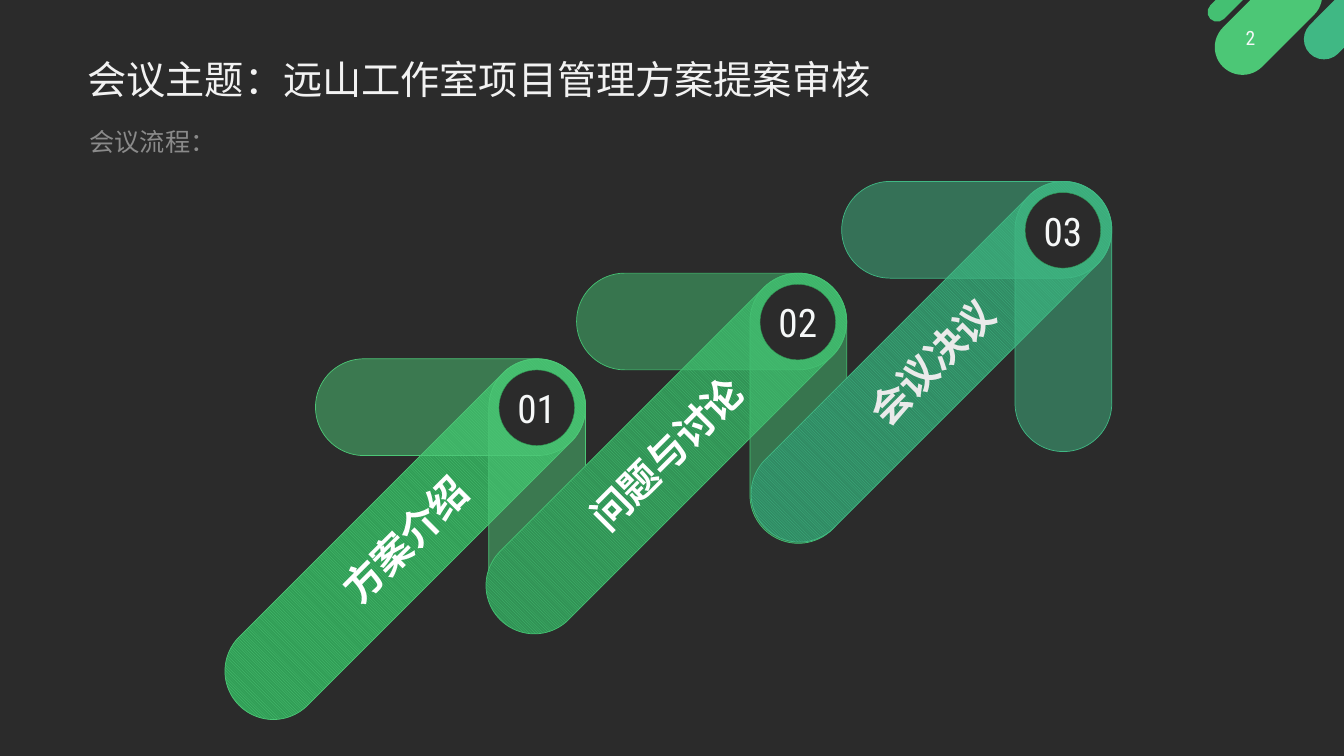
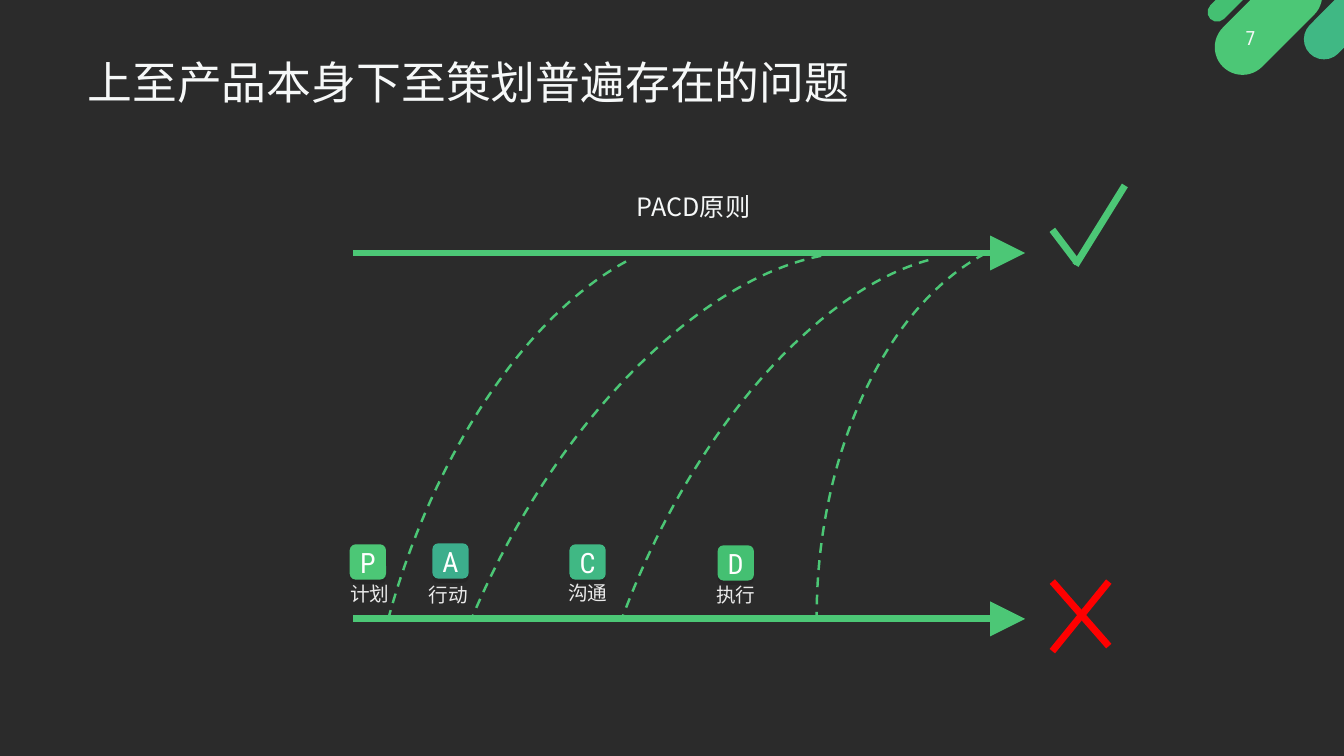
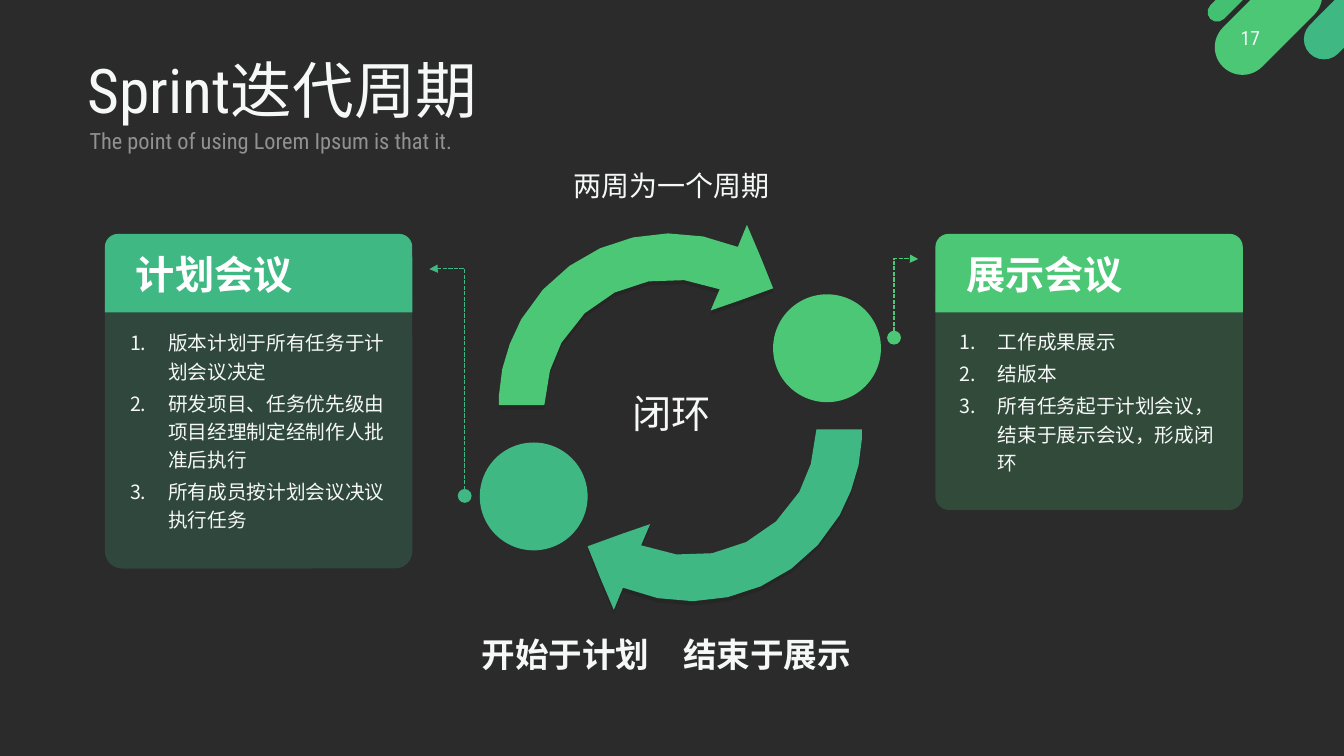
from math import dist

from lxml import etree
from pptx import Presentation
from pptx.dml.color import RGBColor
from pptx.enum.dml import MSO_LINE, MSO_PATTERN
from pptx.enum.shapes import MSO_CONNECTOR, MSO_SHAPE
from pptx.enum.text import MSO_ANCHOR, PP_ALIGN
from pptx.oxml.ns import qn
from pptx.util import Pt

PX = 9144
FACE = "Roboto Condensed"
HAN = "Noto Sans CJK SC"
PLAIN = "Calibri"

DARK = RGBColor(0x2B, 0x2B, 0x2B)
LIME = RGBColor(0x4C, 0xC7, 0x76)
LEAF = RGBColor(0x44, 0xC0, 0x72)
JADE = RGBColor(0x40, 0xB8, 0x84)
TEAL = RGBColor(0x3C, 0xAE, 0x8C)
MOSS = RGBColor(0x31, 0x9D, 0x56)
FERN = RGBColor(0x31, 0x92, 0x55)
PINE = RGBColor(0x30, 0x8A, 0x63)
RED = RGBColor(0xFF, 0x00, 0x00)
WHITE = RGBColor(0xFF, 0xFF, 0xFF)
SNOW = RGBColor(0xF6, 0xF8, 0xF8)
PALE = RGBColor(0xF2, 0xF2, 0xF2)
MIST = RGBColor(0xEA, 0xEA, 0xEA)

ROUND = MSO_SHAPE.ROUNDED_RECTANGLE
CAP = MSO_SHAPE.ROUND_2_SAME_RECTANGLE
OVAL = MSO_SHAPE.OVAL
ARC = MSO_SHAPE.ARC
LINE = MSO_CONNECTOR.STRAIGHT
ELBOW = MSO_CONNECTOR.ELBOW
DASH = MSO_LINE.DASH
DOTS = MSO_LINE.SQUARE_DOT
WEAVE = MSO_PATTERN.DARK_DOWNWARD_DIAGONAL
LEFT = PP_ALIGN.LEFT
MID = PP_ALIGN.CENTER
TOP = MSO_ANCHOR.TOP
CORE = MSO_ANCHOR.MIDDLE

HEAD = {"line_spacing": 0.9}
SUB = {"line_spacing": 0.9, "space_before": Pt(10)}
ITEM = {"line_spacing": 1.2, "space_after": Pt(2.7)}
BALL = {"type": "oval", "w": "lg", "len": "lg"}
TIP = {"type": "triangle"}
BARB = {"type": "triangle", "w": "lg", "len": "lg"}

OUTLINE = [
    (755, 256), (741, 223), (738, 230, 735, 237, 732, 245),
    (653, 212, 561, 241, 517, 317), (504, 341, 496, 366, 495, 392),
    (495, 402), (540, 402), (541, 400, 541, 398, 541, 396),
    (542, 377, 547, 358, 557, 340), (589, 284, 657, 263, 714, 287),
    (705, 308), (734, 298), (767, 286),
]


def put(thing, values):
    for name, value in values.items():
        setattr(thing, name, value)


def add(node, tag, **attrs):
    return etree.SubElement(node, qn(tag), attrs)


def fade(shape, alpha):
    color = next(shape.element.iter(qn("a:srgbClr")))
    add(color, "a:alpha", val=str(alpha * 1000))


def shade(shape):
    glow = shape.element.spPr.find(qn("a:effectLst"))
    drop = add(glow, "a:outerShdw", blurRad="0", dist="38100",
               dir="5400000", algn="t", rotWithShape="0")
    add(add(drop, "a:srgbClr", val="000000"), "a:alpha", val="10000")


def paint(shape, fill=None, edge=None, width=1, alpha=None):
    shape.shadow.inherit = False
    if fill is None:
        shape.fill.background()
    else:
        shape.fill.solid()
        shape.fill.fore_color.rgb = fill
    if edge is None:
        shape.line.fill.background()
    else:
        shape.line.color.rgb = edge
        shape.line.width = Pt(width)
    if alpha:
        fade(shape, alpha)


def draw(slide, kind, box, fill=None, turn=0, adj=(), **style):
    shape = slide.shapes.add_shape(kind, *(n * PX for n in box))
    shape.rotation = turn
    for i, value in enumerate(adj):
        shape.adjustments[i] = value
    paint(shape, fill, **style)
    return shape


def write(shape, rows, size, color=SNOW, face=FACE, bold=False, align=LEFT,
          anchor=TOP, pad=(10, 5, 10, 5), wrap=True, para=None, count=False):
    frame = shape.text_frame
    sides = ("margin_left", "margin_top", "margin_right", "margin_bottom")
    put(frame, {"word_wrap": wrap, "vertical_anchor": anchor,
                **{side: n * PX for side, n in zip(sides, pad)}})
    for i, row in enumerate(rows):
        line = frame.paragraphs[0] if i == 0 else frame.add_paragraph()
        put(line, {"alignment": align, **(para or {})})
        run = line.add_run()
        run.text = row
        put(run.font, {"size": Pt(size), "bold": bold, "name": face})
        run.font.color.rgb = color
        add(run.font._element, "a:ea", typeface=HAN)
        if count:
            props = line._p.get_or_add_pPr()
            props.set("marL", str(38 * PX))
            props.set("indent", str(-38 * PX))
            add(props, "a:buFont", typeface="+mj-lt")
            add(props, "a:buAutoNum", type="arabicPeriod")


def note(slide, box, text, size, **style):
    shape = slide.shapes.add_textbox(*(n * PX for n in box))
    write(shape, [text], size, **style)
    return shape


def link(slide, kind, ends, color, width, dash=None, head=None, tail=None):
    wire = slide.shapes.add_connector(kind, *(round(n * PX) for n in ends))
    wire.line.color.rgb = color
    wire.line.width = Pt(width)
    if dash:
        wire.line.dash_style = dash
    props = wire.element.spPr
    for tag, mark in (("a:headEnd", head), ("a:tailEnd", tail)):
        if mark:
            add(props.find(qn("a:ln")), tag, **mark)
    add(props, "a:effectLst")
    return wire


def bend(slide, ends, color, turn, adj):
    x, y, to_x, to_y = ends
    mid_x, mid_y = (x + to_x) / 2, (y + to_y) / 2
    half_w, half_h = abs(to_y - y) / 2, abs(to_x - x) / 2
    if turn == 270:
        half_w = -half_w
    frame = (mid_x + half_w, mid_y + half_h, mid_x - half_w, mid_y - half_h)
    wire = link(slide, ELBOW, frame, color, 1, DOTS, BALL, TIP)
    props = wire.element.spPr
    props.find(qn("a:xfrm")).set("rot", str(turn * 60000))
    guides = props.find(qn("a:prstGeom")).find(qn("a:avLst"))
    add(guides, "a:gd", name="adj1", fmla=f"val {adj}")


def trace(steps):
    dots = [steps[0]]
    for step in steps[1:]:
        if len(step) == 2:
            dots.append(step)
            continue
        knots = [dots[-1], step[:2], step[2:4], step[4:]]
        count = 1 + int(dist(knots[0], knots[3]) // 35)
        for i in range(1, count + 1):
            t = i / count
            mix = ((1 - t) ** 3, 3 * t * (1 - t) ** 2, 3 * t * t * (1 - t), t ** 3)
            dots.append(tuple(sum(m * k[a] for m, k in zip(mix, knots))
                              for a in (0, 1)))
    return dots


def swoop(slide, dots, color):
    spots = [(x * PX, y * PX) for x, y in dots]
    pen = slide.shapes.build_freeform(*spots[0], scale=1.0)
    pen.add_line_segments(spots[1:], close=True)
    shape = pen.convert_to_shape()
    paint(shape, color)
    shade(shape)


def start(deck, page, title, size, color=SNOW, face=FACE, sub=None):
    slide = deck.slides.add_slide(deck.slide_layouts[6])
    for box, fill in (((1231, -43, 55, 128), LIME),
                      ((1313, -28, 40, 95), JADE),
                      ((1211, -29, 19, 56), LEAF)):
        draw(slide, ROUND, box, fill, 45, [0.5])
    note(slide, (1220, 19, 41, 36), page, 14, align=MID, anchor=CORE,
         pad=(0, 7, 0, 7))
    note(slide, (77, 55, 939, 83), title, size, color=color, face=face, para=HEAD)
    if sub:
        text, points, tint = sub
        shape = note(slide, (79, 124, 817, 28), text, points, color=tint, para=SUB)
        fade(shape, 50)
    return slide


def stage(slide, x, y, mark, text, fore, back, ink):
    edge = {"edge": fore, "width": 0.5}
    bar = draw(slide, ROUND, (x - 144, y + 131, 466, 96), fore, 315, [0.5], **edge)
    bar.fill.patterned()
    bar.fill.pattern = WEAVE
    bar.fill.fore_color.rgb = fore
    bar.fill.back_color.rgb = back
    inner = {"align": MID, "anchor": CORE, "pad": (0, 0, 0, 0)}
    write(bar, [text], 28, ink, bold=True, para={"space_after": Pt(3)}, **inner)
    for shift, turn in ((86, 270), (0, 0)):
        draw(slide, ROUND, (x + shift, y + shift, 268, 96), fore, turn, [0.5],
             alpha=50, **edge)
    ring = draw(slide, OVAL, (x + 182, y + 11, 75, 75), DARK, edge=MOSS, width=0.25)
    write(ring, [mark], 28, para={"line_spacing": Pt(34)}, **inner)


def agenda(deck):
    slide = start(deck, "2", "会议主题：远山工作室项目管理方案提案审核", 28, PALE,
                  sub=("会议流程：", 18, MIST))
    stage(slide, 313, 356, "01", "方案介绍", LIME, MOSS, WHITE)
    stage(slide, 572, 271, "02", "问题与讨论", LEAF, FERN, WHITE)
    stage(slide, 835, 180, "03", "会议决议", JADE, PINE, MIST)


def issues(deck):
    slide = start(deck, "7", "上至产品本身下至策划普遍存在的问题", 32, face=HAN)
    for y in (251, 614):
        link(slide, LINE, (350, y, 1017, y), LIME, 5, tail=BARB)
    for box, turn, begin in (((386, 221, 450, 846), 18.2, 172.02),
                             ((464, 217, 495, 918), 26.3, 168.31),
                             ((616, 226, 450, 867), 23.5, 169.34),
                             ((811, 232, 450, 712), 4, 170.34)):
        curve = draw(slide, ARC, box, None, turn, [begin, 6.76], edge=LIME, width=1.75)
        curve.line.dash_style = DASH
        curve.element.spPr.find(qn("a:xfrm")).set("flipH", "1")
    for x, y, mark, fill, left, top, text in (
            (347, 540, "P", LIME, 283, 572, "计划"),
            (429, 539, "A", TEAL, 361, 573, "行动"),
            (565, 540, "C", JADE, 499, 571, "沟通"),
            (712, 541, "D", LEAF, 646, 573, "执行")):
        tile = draw(slide, ROUND, (x, y, 36, 35), fill)
        shade(tile)
        write(tile, [mark], 20, WHITE, align=MID, anchor=CORE, wrap=False)
        note(slide, (left, top, 168, 34), text, 14, color=MIST, align=MID)
    note(slide, (622, 185, 144, 40), "PACD原则", 18, face=HAN, wrap=False)
    for ends, color in (((1044, 228, 1069, 261), LIME),
                        ((1116, 184, 1067, 263), LIME),
                        ((1100, 577, 1044, 646), RED),
                        ((1044, 577, 1100, 641), RED)):
        link(slide, LINE, ends, color, 5)


def card(slide, x, tall, title, rows, color):
    body = draw(slide, ROUND, (x, 279, 305, tall), color, adj=[0.06], alpha=20)
    write(body, rows, 14, pad=(20, 40, 10, 30), para=ITEM, count=True)
    cap = draw(slide, CAP, (x, 232, 305, 78), color)
    write(cap, [title], 28, WHITE, bold=True, pad=(27, 13, 27, 13))


def cycle(deck):
    slide = start(deck, "17", "Sprint迭代周期", 44,
                  sub=("The point of using Lorem Ipsum is that it.", 16, SNOW))
    dots = trace(OUTLINE)
    swoop(slide, dots, LIME)
    swoop(slide, [(1350 - x, 828 - y) for x, y in dots], JADE)
    draw(slide, OVAL, (476, 439, 107, 107), JADE)
    draw(slide, OVAL, (767, 292, 107, 107), LIME)
    card(slide, 104, 285, "计划会议",
         ["版本计划于所有任务于计划会议决定",
          "研发项目、任务优先级由项目经理制定经制作人批准后执行",
          "所有成员按计划会议决议执行任务"], JADE)
    card(slide, 928, 227, "展示会议",
         ["工作成果展示", "结版本",
          "所有任务起于计划会议，结束于展示会议，形成闭环"], LIME)
    bend(slide, (887, 335, 911, 257), LIME, 90, 100500)
    bend(slide, (461, 492, 426, 267), JADE, 270, 100200)
    note(slide, (550, 381, 233, 57), "闭环", 28, align=MID)
    note(slide, (226, 628, 870, 42), "开始于计划　结束于展示", 24, face=PLAIN,
         bold=True, align=MID, anchor=CORE)
    note(slide, (550, 162, 233, 44), "两周为一个周期", 20, align=MID)


def main():
    deck = Presentation()
    put(deck, {"slide_width": 4000 * PX // 3, "slide_height": 750 * PX})
    ground = deck.slide_master.background.fill
    ground.solid()
    ground.fore_color.rgb = DARK
    agenda(deck)
    issues(deck)
    cycle(deck)
    deck.save("out.pptx")


if __name__ == "__main__":
    main()
